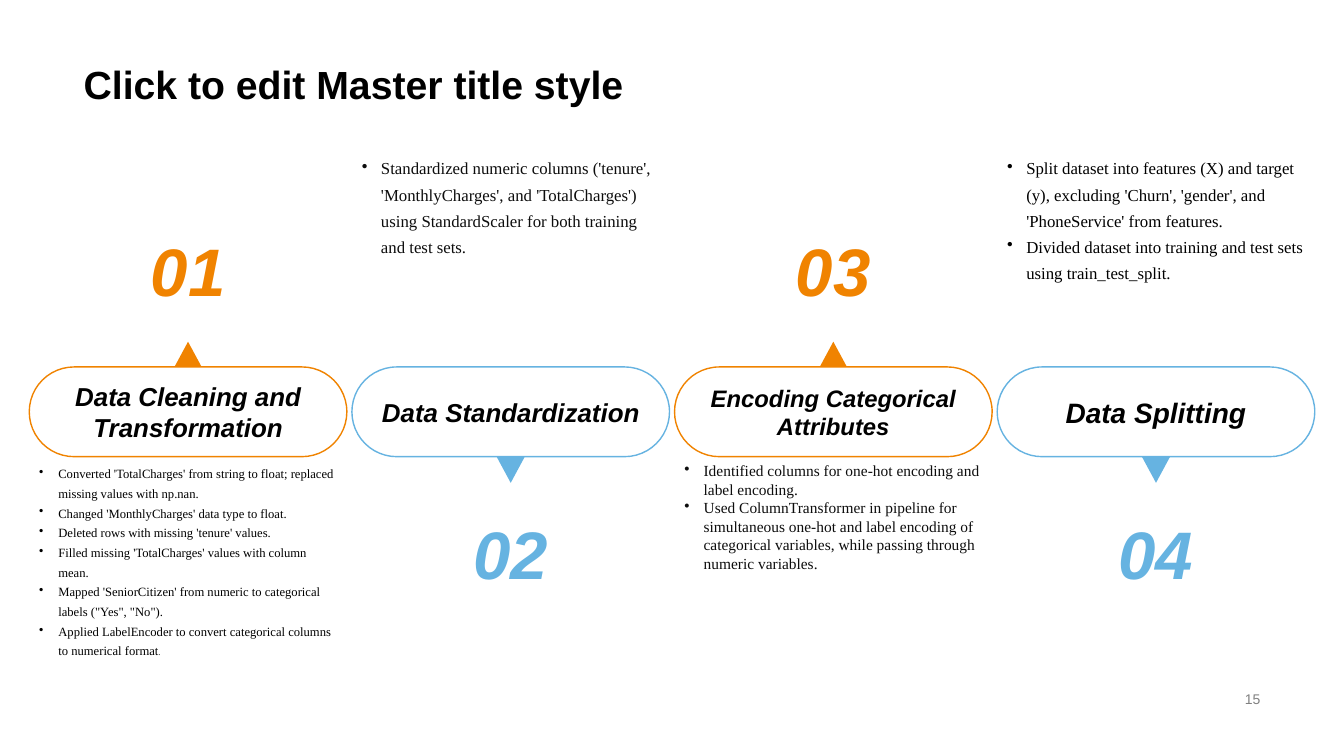
"""Build the slide of four data preparation steps."""
from lxml import etree
from pptx import Presentation
from pptx.dml.color import RGBColor
from pptx.enum import shapes, text
from pptx.oxml import ns
from pptx.util import Inches, Pt

ORANGE = RGBColor(0xF0, 0x83, 0x00)
BLUE = RGBColor(0x66, 0xB3, 0xE1)
BLACK = RGBColor(0, 0, 0)
INK = RGBColor(0x0D, 0x0D, 0x0D)
GRAY = RGBColor(0x80, 0x80, 0x80)
WHITE = RGBColor(0xFF, 0xFF, 0xFF)

LEFT, PITCH, WIDTH = 0.29, 3.2, 3.15
PILL_TOP, PILL_HEIGHT = 3.64, 0.89
PILL_BOTTOM = PILL_TOP + PILL_HEIGHT
LIST_HEIGHT = 2.18
INDENT = 0.19

STEPS = [
    dict(name="Data Cleaning and Transformation", name_size=18.5, size=9,
         ink=BLACK, spacing=1.3, items=[
             "Converted 'TotalCharges' from string to float; replaced missing values with np.nan.",
             "Changed 'MonthlyCharges' data type to float.",
             "Deleted rows with missing 'tenure' values.",
             "Filled missing 'TotalCharges' values with column mean.",
             "Mapped 'SeniorCitizen' from numeric to categorical labels (\"Yes\", \"No\").",
             "Applied LabelEncoder to convert categorical columns to numerical format"],
         end="."),
    dict(name="Data Standardization", name_size=18.5, size=12,
         ink=INK, spacing=1.3, items=[
             "Standardized numeric columns ('tenure', 'MonthlyCharges', and 'TotalCharges') "
             "using StandardScaler for both training and test sets."]),
    dict(name="Encoding Categorical Attributes", name_size=17, size=11,
         ink=INK, spacing=1.0, items=[
             "Identified columns for one-hot encoding and label encoding.",
             "Used ColumnTransformer in pipeline for simultaneous one-hot and label encoding "
             "of categorical variables, while passing through numeric variables."]),
    dict(name="Data Splitting", name_size=20, size=12,
         ink=BLACK, spacing=1.3, items=[
             "Split dataset into features (X) and target (y), excluding 'Churn', 'gender', "
             "and 'PhoneService' from features.",
             "Divided dataset into training and test sets using train_test_split."]),
]


def add_span(para, words, size, color, font="Arial", bold=False, italic=False):
    """Add one formatted run to a paragraph."""
    span = para.add_run()
    span.text = words
    span.font.name = font
    span.font.size = Pt(size)
    span.font.color.rgb = color
    span.font.bold = bold
    span.font.italic = italic


def write(shape, words, align=text.PP_ALIGN.CENTER,
          anchor=text.MSO_ANCHOR.MIDDLE, **style):
    """Put one formatted paragraph in a shape and return the paragraph."""
    frame = shape.text_frame
    frame.word_wrap = True
    frame.vertical_anchor = anchor
    para = frame.paragraphs[0]
    para.alignment = align
    add_span(para, words, **style)
    return para


def add_box(page, left, top, width, height):
    """Add an empty text box."""
    return page.shapes.add_textbox(Inches(left), Inches(top),
                                   Inches(width), Inches(height))


def add_shape(page, kind, left, top, width, height, fill, line=None):
    """Add a flat preset shape with an optional outline."""
    shape = page.shapes.add_shape(kind, Inches(left), Inches(top),
                                  Inches(width), Inches(height))
    shape.shadow.inherit = False
    shape.fill.solid()
    shape.fill.fore_color.rgb = fill
    if line is None:
        shape.line.fill.background()
    else:
        shape.line.color.rgb = line
        shape.line.width = Pt(1)
    return shape


def set_bullet(para):
    """Give a paragraph a hanging round bullet."""
    props = para._p.get_or_add_pPr()
    props.set("marL", str(Inches(INDENT)))
    props.set("indent", str(-Inches(INDENT)))
    etree.SubElement(props, ns.qn("a:buChar")).set("char", "•")


def add_list(page, left, top, step):
    """Add the bulleted details of a step."""
    frame = add_box(page, left, top, WIDTH, LIST_HEIGHT).text_frame
    frame.word_wrap = True
    for index, item in enumerate(step["items"]):
        para = frame.add_paragraph() if index else frame.paragraphs[0]
        set_bullet(para)
        para.line_spacing = step["spacing"]
        add_span(para, item, step["size"], step["ink"], "Times New Roman")
    if "end" in step:
        add_span(para, step["end"], 6, step["ink"], "Times New Roman")


def add_step(page, index, step):
    """Add a step: pill, pointer, number and details, alternating up and down."""
    left = LEFT + index * PITCH
    center = left + WIDTH / 2
    points_up = index % 2 == 0
    color = ORANGE if points_up else BLUE
    pointer_top = PILL_TOP - 0.25 if points_up else PILL_BOTTOM
    pointer = add_shape(page, shapes.MSO_SHAPE.ISOSCELES_TRIANGLE,
                        center - 0.14, pointer_top, 0.28, 0.26, color)
    pointer.rotation = 0 if points_up else 180
    pill = add_shape(page, shapes.MSO_SHAPE.ROUNDED_RECTANGLE,
                     left, PILL_TOP, WIDTH, PILL_HEIGHT, WHITE, color)
    pill.adjustments[0] = 0.5
    write(pill, step["name"], size=step["name_size"], color=BLACK,
          bold=True, italic=True)
    number = add_box(page, center - 0.51, 2.07 if points_up else 4.88, 1.02, 1.21)
    write(number, f"{index + 1:02}", size=48, color=color, bold=True, italic=True)
    list_top = PILL_BOTTOM if points_up else PILL_TOP - LIST_HEIGHT
    add_list(page, left, list_top, step)


def add_title(page, words):
    """Place and fill the title placeholder."""
    title = page.shapes.title
    title.left, title.top = Inches(0.73), Inches(0)
    title.width, title.height = Inches(11.87), Inches(1.12)
    para = write(title, words, text.PP_ALIGN.LEFT, text.MSO_ANCHOR.BOTTOM,
                 size=28, color=BLACK, bold=True)
    para.line_spacing = 0.9


def main():
    """Build and save the deck."""
    deck = Presentation()
    deck.slide_width, deck.slide_height = Inches(13.33), Inches(7.5)
    page = deck.slides.add_slide(deck.slide_layouts[5])
    add_title(page, "Click to edit Master title style")
    for index, step in enumerate(STEPS):
        add_step(page, index, step)
    write(add_box(page, 9.42, 6.82, 3.18, 0.23), "15", text.PP_ALIGN.RIGHT,
          size=10, color=GRAY)
    deck.save("out.pptx")


if __name__ == "__main__":
    main()
